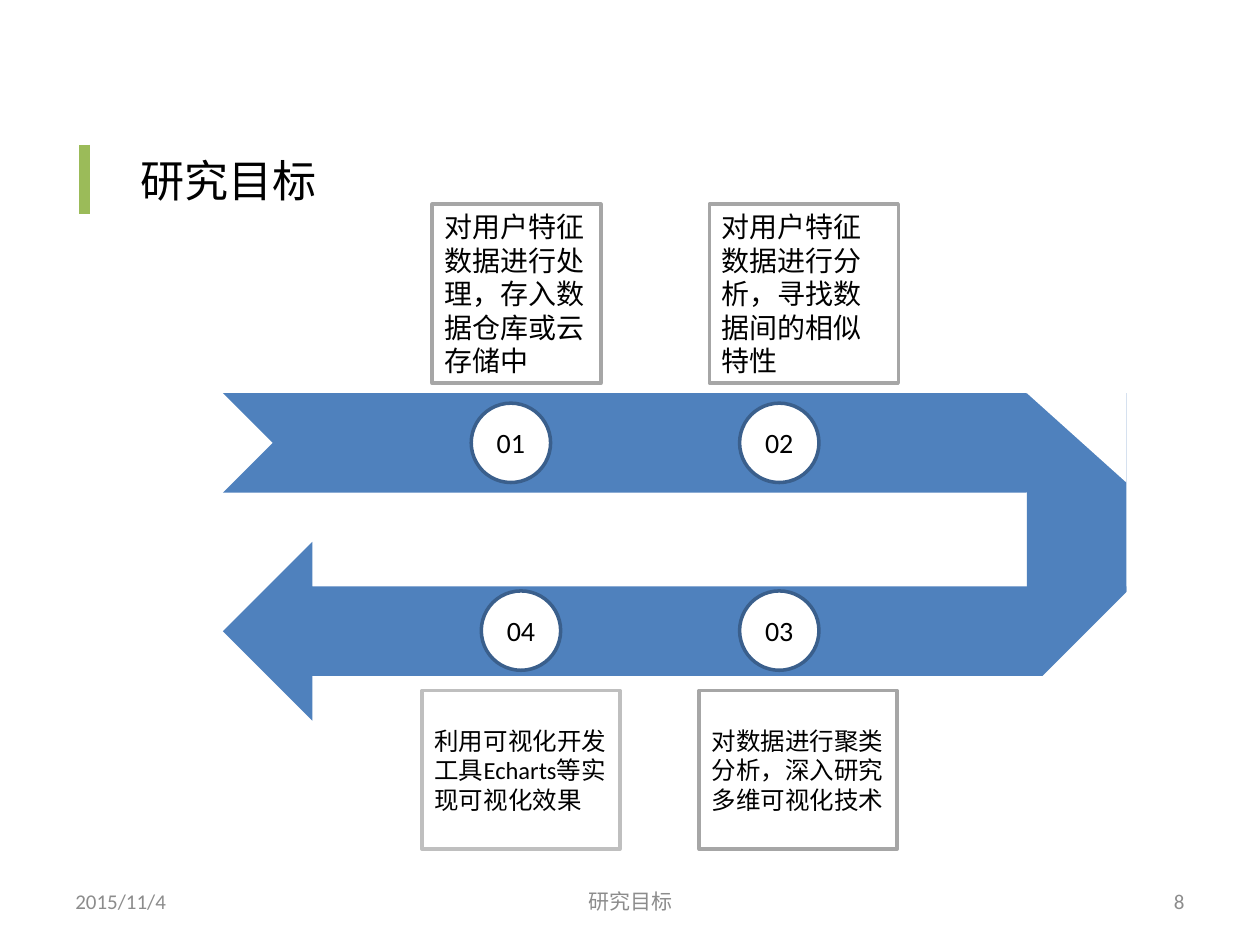
"""Build the research goals slide: a U-turn arrow with four numbered steps."""
from lxml import etree
from pptx import Presentation
from pptx.dml.color import RGBColor
from pptx.enum.shapes import MSO_CONNECTOR, MSO_SHAPE
from pptx.enum.text import MSO_ANCHOR, PP_ALIGN
from pptx.oxml.ns import qn
from pptx.util import Inches, Pt

RECT, OVAL = MSO_SHAPE.RECTANGLE, MSO_SHAPE.OVAL
CHEVRON, ARROW = MSO_SHAPE.CHEVRON, MSO_SHAPE.LEFT_ARROW
TRIANGLE, STRAIGHT = MSO_SHAPE.RIGHT_TRIANGLE, MSO_CONNECTOR.STRAIGHT
MIDDLE = MSO_ANCHOR.MIDDLE
LEFT, CENTER, RIGHT = PP_ALIGN.LEFT, PP_ALIGN.CENTER, PP_ALIGN.RIGHT
BLUE, NAVY, GREEN = "4F81BD", "3A5F8C", "9BBB59"
WHITE, BLACK, GRAY = "FFFFFF", "000000", "8C8C8C"

prs = Presentation()
prs.slide_width, prs.slide_height = Inches(10), Inches(7.5)
COL, ROW = prs.slide_width / 100, prs.slide_height / 75
s = prs.slides.add_slide(prs.slide_layouts[6])


def add_box(kind, col, row, cols, rows, fill=None, line=None):
    box = [round(n) for n in (col * COL, row * ROW, cols * COL, rows * ROW)]
    if kind is None:
        return s.shapes.add_textbox(*box)
    sp = s.shapes.add_shape(kind, *box)
    sp.shadow.inherit = False
    sp.fill.solid()
    sp.fill.fore_color.rgb = RGBColor.from_string(fill)
    if line:
        sp.line.color.rgb = RGBColor.from_string(line)
        sp.line.width = Pt(2)
    else:
        sp.line.fill.background()
    return sp


def set_text(sp, text, size, align, color=BLACK):
    tf = sp.text_frame
    tf.word_wrap = True
    tf.vertical_anchor = MIDDLE
    p = tf.paragraphs[0]
    p.text = text
    p.alignment = align
    r = p.runs[0]
    r.font.size = Pt(size)
    r.font.name = "Calibri"
    r.font.color.rgb = RGBColor.from_string(color)


set_text(add_box(None, 1.2, 11.5, 33.9, 5.5), "研究目标", 25.2, CENTER)

bar = s.shapes.add_connector(STRAIGHT, round(6.7 * COL), round(11.5 * ROW),
                             round(6.7 * COL), round(17 * ROW))
bar.line.color.rgb = RGBColor.from_string(GREEN)
bar.line.width = Pt(6)
etree.SubElement(bar._element.spPr, qn("a:effectLst"))

add_box(CHEVRON, 17.7, 31.2, 67.7, 7.9, BLUE)
add_box(RECT, 81.5, 31.2, 7.9, 22, BLUE)
add_box(ARROW, 17.7, 43, 71.7, 14.2, BLUE)
for col, row, rows, angle in [(81.5, 31.2, 7.1, 180), (82.3, 46.2, 7.9, 270)]:
    add_box(TRIANGLE, col, row, 7.9, rows, WHITE).rotation = angle

numbers = [("01", 37.4, 32), ("02", 58.7, 32), ("03", 58.7, 46.9), ("04", 38.2, 46.9)]
for number, col, row in numbers:
    set_text(add_box(OVAL, col, row, 6.3, 6.3, WHITE, NAVY), number, 16, CENTER)

goals = [
    ("对用户特征数据进行处理，存入数据仓库或云存储中", 16, 34.3, 16.2, 13.4, 14.2, "A6A6A6"),
    ("对用户特征数据进行分析，寻找数据间的相似特性", 16, 56.3, 16.2, 15, 14.2, "A6A6A6"),
    ("对数据进行聚类分析，深入研究多维可视化技术", 14, 55.5, 54.8, 15.7, 12.6, "A6A6A6"),
    ("利用可视化开发工具Echarts等实现可视化效果", 14, 33.5, 54.8, 15.7, 12.6, "BFBFBF"),
]
for text, size, col, row, cols, rows, line in goals:
    set_text(add_box(RECT, col, row, cols, rows, WHITE, line), text, size, LEFT)

footer = [("2015/11/4", 5, 23.3, LEFT), ("研究目标", 34.2, 31.7, CENTER), ("8", 71.7, 23.3, RIGHT)]
for text, col, cols, align in footer:
    set_text(add_box(None, col, 69.5, cols, 4), text, 12, align, GRAY)

prs.save("out.pptx")
